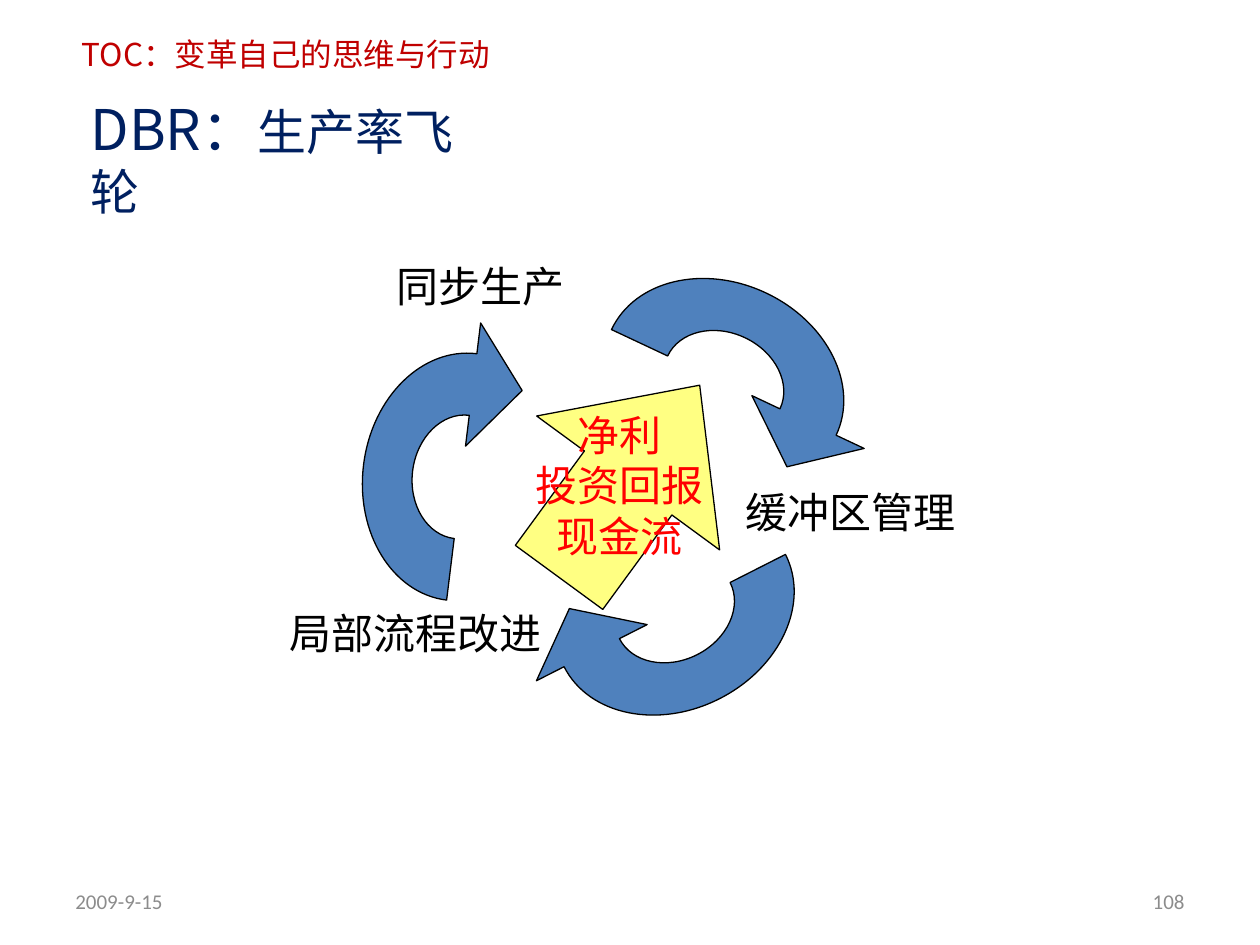
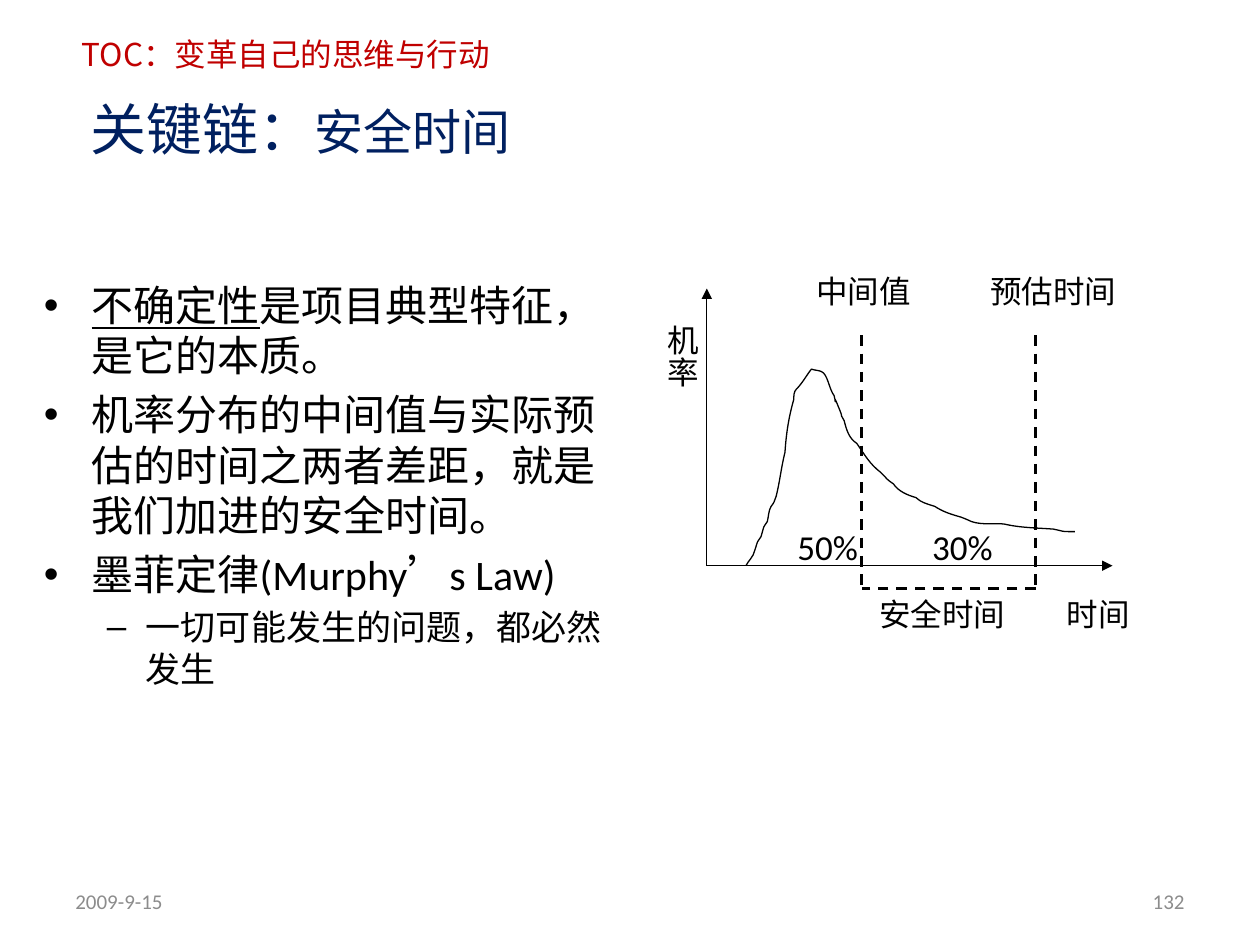
from lxml import etree
from pptx import Presentation
from pptx import util as u
from pptx.dml.color import RGBColor
from pptx.enum import dml, shapes, text
from pptx.oxml import ns

Inches, Pt = u.Inches, u.Pt

# Shared look
NAVY, RED, GRAY, BLACK = "002060", "C00000", "8C8C8C", "000000"
BLUE, YELLOW, BRIGHT_RED = "4F81BD", "FFFF00", "FF0000"
LATIN, CJK = "Calibri", "Noto Sans CJK SC"
LEFT, CENTER, RIGHT = text.PP_ALIGN.LEFT, text.PP_ALIGN.CENTER, text.PP_ALIGN.RIGHT

# Probability curve in slide inches: a start, then two handles and an end each
CURVE = [
    (5.92, 4.49),
    (5.94, 4.45, 5.98, 4.42, 5.99, 4.37), (6.02, 4.28, 6, 4.32, 6.04, 4.26),
    (6.07, 4.16, 6.05, 4.2, 6.09, 4.14), (6.1, 4.1, 6.1, 4.05, 6.12, 4.02),
    (6.15, 3.98, 6.14, 3.99, 6.16, 3.94), (6.19, 3.82, 6.2, 3.71, 6.23, 3.59),
    (6.24, 3.44, 6.26, 3.31, 6.3, 3.17), (6.3, 3.14, 6.3, 3.11, 6.32, 3.09),
    (6.37, 3.04, 6.4, 2.98, 6.44, 2.93), (6.47, 2.94, 6.5, 2.94, 6.52, 2.95),
    (6.57, 2.97, 6.58, 3.09, 6.62, 3.14), (6.65, 3.27, 6.6, 3.09, 6.65, 3.22),
    (6.71, 3.36, 6.65, 3.25, 6.7, 3.34), (6.72, 3.42, 6.74, 3.48, 6.8, 3.52),
    (6.87, 3.62, 6.9, 3.68, 6.99, 3.75), (7, 3.76, 7.01, 3.77, 7.02, 3.78),
    (7.04, 3.81, 7.09, 3.84, 7.09, 3.84), (7.13, 3.9, 7.2, 3.93, 7.27, 3.95),
    (7.31, 3.99, 7.36, 4, 7.42, 4.02), (7.48, 4.06, 7.54, 4.08, 7.61, 4.1),
    (7.62, 4.1, 7.69, 4.13, 7.71, 4.14), (7.8, 4.17, 7.89, 4.15, 7.97, 4.16),
    (8.1, 4.19, 8.23, 4.19, 8.36, 4.2), (8.46, 4.22, 8.41, 4.22, 8.53, 4.22)]


def rgb(value):
    return RGBColor.from_string(value)


def add_xml(parent, tag, **attrs):
    return etree.SubElement(parent, ns.qn(tag), attrs)


# Text
def add_run(p, words, size, color, font=LATIN, underline=None):
    r = p.add_run()
    r.text = words
    r.font.size = Pt(size)
    r.font.color.rgb = rgb(color)
    r.font.name = font
    r.font.underline = underline
    add_xml(r.font._element, "a:ea", typeface=CJK)


def add_box(s, x, y, w, h, wrap=True, anchor=text.MSO_ANCHOR.TOP):
    sp = s.shapes.add_textbox(Inches(x), Inches(y), Inches(w), Inches(h))
    sp.text_frame.word_wrap = wrap
    sp.text_frame.vertical_anchor = anchor
    return sp


def add_label(s, words, x, y, w, h, size, color=BLACK, font=LATIN, align=LEFT, **box):
    sp = add_box(s, x, y, w, h, **box)
    p = sp.text_frame.paragraphs[0]
    p.alignment = align
    for i, line in enumerate(words.split("\n")):
        if i:
            p.add_line_break()
        add_run(p, line, size, color, font)
    return sp


def add_bullet(tf, runs, size=24, level=0):
    first = not tf.paragraphs[0].runs
    p = tf.paragraphs[0] if first else tf.add_paragraph()
    p.level = level
    margin, hang, mark = [(0.38, 0.38, "•"), (0.81, 0.31, "–")][level]
    p.space_before = Pt(0 if first else size * 0.2)
    pPr = p._p.get_or_add_pPr()
    pPr.set("marL", str(Inches(margin)))
    pPr.set("indent", str(-Inches(hang)))
    add_xml(pPr, "a:buFont", typeface="Arial")
    add_xml(pPr, "a:buChar", char=mark)
    for words, style in runs:
        add_run(p, words, size, BLACK, **style)


# Lines and outlines
def add_line(s, start, end, width=0.75, dashed=False, arrow=False):
    c = s.shapes.add_connector(shapes.MSO_CONNECTOR.STRAIGHT,
                               *[Inches(v) for v in start + end])
    c.line.color.rgb = rgb(BLACK)
    c.line.width = Pt(width)
    if dashed:
        c.line.dash_style = dml.MSO_LINE.DASH
    if arrow:
        add_xml(c.line._get_or_add_ln(), "a:tailEnd", type="triangle")
    add_xml(c._element.spPr, "a:effectLst")


def style_outline(sp, fill=None):
    sp.shadow.inherit = False
    sp.line.color.rgb = rgb(BLACK)
    sp.line.width = Pt(0.75)
    if fill:
        sp.fill.solid()
        sp.fill.fore_color.rgb = rgb(fill)
    else:
        sp.fill.background()


def add_outline(s, x, y, w, h, segments, fill=None):
    """Freeform in a box; segments are points or cubic curves, from its corner."""
    builder = s.shapes.build_freeform(Inches(x), Inches(y))
    builder.add_line_segments([(Inches(x + w), Inches(y + h))], close=False)
    sp = builder.convert_to_shape()
    path = next(sp._element.iter(ns.qn("a:path")))
    for child in list(path):
        path.remove(child)
    for i, segment in enumerate(segments):
        tag = "a:cubicBezTo" if len(segment) == 6 else "a:lnTo" if i else "a:moveTo"
        command = add_xml(path, tag)
        for px, py in zip(segment[::2], segment[1::2]):
            add_xml(command, "a:pt", x=str(Inches(px)), y=str(Inches(py)))
    if fill:
        add_xml(path, "a:close")
    style_outline(sp, fill)
    return sp


def add_flywheel_arrow(s, x, y, degrees, w=1.97, h=1.57):
    """Upper half of an elliptical ring with an arrowhead at its right end."""
    rx, ry, k = w / 2, h / 2, 0.5523
    # Unit ellipse: inner arc to the left, outer arc to the right, arrowhead
    unit = [(0.5, 0),
            (0.5, -k / 2, k / 2, -0.5, 0, -0.5), (-k / 2, -0.5, -0.5, -k / 2, -0.5, 0),
            (-1, 0),
            (-1, -k, -k, -1, 0, -1), (k, -1, 1, -k, 1, 0),
            (1, 0), (1.25, 0), (0.75, 0.5), (0.25, 0), (0.5, 0)]
    segments = [[rx + v * rx if i % 2 == 0 else ry + v * ry for i, v in enumerate(seg)]
                for seg in unit]
    add_outline(s, x, y, w, h, segments, BLUE).rotation = degrees


# Slides
def add_header(prs, s):
    """Put the running header on the slide master."""
    sp = add_label(s, "TOC：变革自己的思维与行动", 0.55, 0.23, 3.59, 0.4, 18, RED, CJK)
    prs.slide_master.shapes._spTree.append(sp._element)


def add_slide(prs, number):
    s = prs.slides.add_slide(prs.slide_layouts[6])
    middle = text.MSO_ANCHOR.MIDDLE
    add_label(s, "2009-9-15", 0.5, 6.95, 2.33, 0.4, 12, GRAY, anchor=middle)
    add_label(s, number, 7.17, 6.95, 2.33, 0.4, 12, GRAY, align=RIGHT, anchor=middle)
    return s


def add_title(s, title, subtitle, width):
    p = add_box(s, 0.62, 0.7, width, 0.64).text_frame.paragraphs[0]
    add_run(p, title, 32, NAVY, CJK)
    add_run(p, subtitle, 28, NAVY, CJK)


def build_flywheel(prs):
    s = add_slide(prs, "108")
    add_header(prs, s)
    add_title(s, "DBR：", "生产率飞轮", 3.29)
    for x, y, degrees in [(4.76, 2.25, 25.2), (4.37, 4.06, 153.1), (2.68, 3, 277)]:
        add_flywheel_arrow(s, x, y, degrees)

    # Central arrow with the results
    sp = s.shapes.add_shape(shapes.MSO_SHAPE.RIGHT_ARROW, Inches(4.05), Inches(2.92),
                            Inches(1.89), Inches(1.8))
    sp.adjustments[0], sp.adjustments[1] = 0.478, 0.534
    sp.rotation = 306.2
    style_outline(sp, YELLOW)
    color = sp._element.spPr.find(ns.qn("a:solidFill"))[0]
    add_xml(color, "a:alpha", val="49000")

    for words, x, y, w in [("缓冲区管理", 5.81, 3.81, 1.88),
                           ("局部流程改进", 2.19, 4.77, 2.21),
                           ("同步生产", 3.04, 2.02, 1.54)]:
        add_label(s, words, x, y, w, 0.5, 24, font=CJK, align=CENTER, wrap=False)
    add_label(s, "净利\n投资回报\n现金流", 3.82, 3.2, 2.2, 1.31, 24,
              BRIGHT_RED, CJK, CENTER)


def build_safety_time(prs):
    s = add_slide(prs, "132")
    tf = add_box(s, 0.25, 2.17, 4.67, 3.54).text_frame
    add_bullet(tf, [("不确定性", {"underline": True}),
                    ("是项目典型特征，是它的本质。", {})])
    add_bullet(tf, [("机率分布的中间值与实际预估的时间之两者差距，就是我们加进的安全时间。", {})])
    add_bullet(tf, [("墨菲定律(Murphy", {}), ("’", {"font": CJK}), ("s Law)", {})])
    add_bullet(tf, [("一切可能发生的问题，都必然发生", {})], size=20, level=1)

    # Axes and curve
    chart = s.shapes.add_group_shape()
    origin = (5.61, 4.49)
    add_line(chart, origin, (5.61, 2.29), arrow=True)
    add_line(chart, origin, (8.83, 4.49), arrow=True)
    left, top = 5.92, 2.93
    add_outline(chart, left, top, 2.61, 1.56,
                [[v - (top if i % 2 else left) for i, v in enumerate(seg)]
                 for seg in CURVE])

    # Safety time bracket
    median, estimate, top, bottom = 6.84, 8.22, 2.66, 4.67
    for start, end in [((median, top), (median, bottom)),
                       ((estimate, top), (estimate, bottom)),
                       ((estimate, bottom), (median, bottom))]:
        add_line(chart, start, end, width=1.5, dashed=True)

    # Chart labels
    axis_name = add_label(chart, "机率", 5, 2.48, 0.61, 0.73, 18)
    axis_name.text_frame._txBody.bodyPr.set("vert", "eaVert")
    for words, x, y, w, size in [("时间", 8.37, 4.67, 0.77, 18),
                                 ("安全时间", 6.88, 4.67, 1.33, 18),
                                 ("50%", 6.23, 4.12, 0.77, 20),
                                 ("30%", 7.3, 4.12, 0.77, 20),
                                 ("中间值", 6.38, 2.11, 1.12, 18),
                                 ("预估时间", 7.76, 2.11, 1.23, 18)]:
        add_label(chart, words, x, y, w, 0.55, size)

    add_title(s, "关键链：", "安全时间", 3.57)


def main():
    prs = Presentation()
    prs.slide_width, prs.slide_height = Inches(10), Inches(7.5)
    build_flywheel(prs)
    build_safety_time(prs)
    prs.save("out.pptx")


if __name__ == "__main__":
    main()
